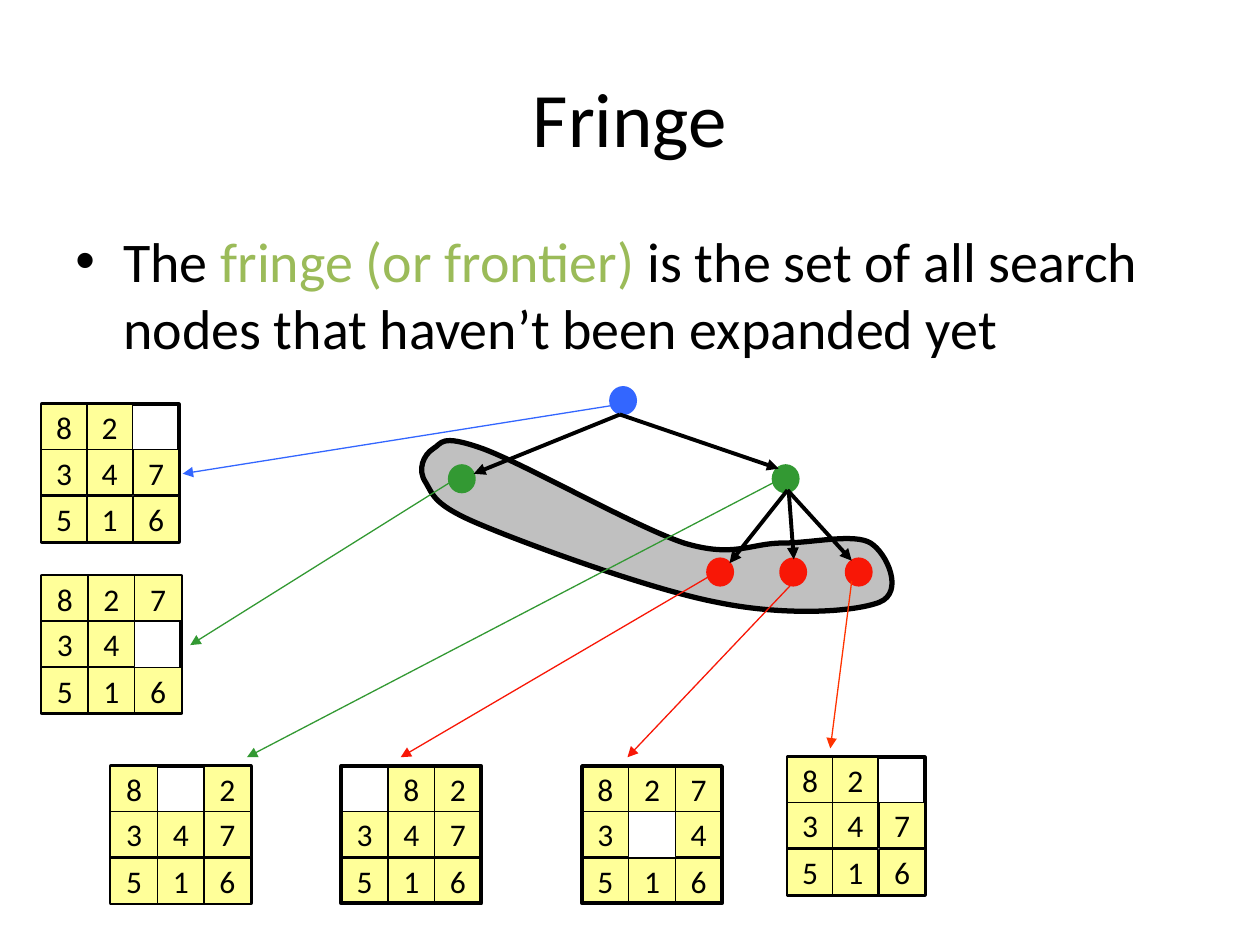
from lxml.etree import SubElement
from pptx import Presentation
from pptx.dml.color import RGBColor
from pptx.enum.shapes import MSO_CONNECTOR, MSO_SHAPE
from pptx.enum.text import MSO_ANCHOR, PP_ALIGN
from pptx.oxml.ns import qn
from pptx.util import Pt

PX = 9144  # EMU per px, 100 px to the inch
FONT = "Calibri"
COLORS = {
    "black": "000000", "accent": "9BBB59", "region": "C0C0C0",
    "blue": "3366FF", "green": "339933", "red": "F81706",
    "orange": "FF3300", "tile": "FFFF99",
}
NODE_SIZE = (19, 20)

# Fringe outline: start point, then control, control, end for each curve
FRINGE_START = (569, 478)
FRINGE_CURVES = [
    (622, 489), (677, 486), (698, 478),
    (718, 470), (704, 439), (691, 431),
    (678, 423), (645, 431), (621, 431),
    (596, 431), (583, 443), (543, 431),
    (504, 418), (416, 368), (383, 356),
    (349, 344), (351, 352), (344, 356),
    (336, 361), (331, 373), (338, 383),
    (344, 393), (344, 401), (383, 417),
    (421, 433), (517, 468), (569, 478),
]
# Search nodes: left, top, colour
NODES = [
    (485, 308, "blue"),
    (357, 370, "green"), (614, 370, "green"),
    (562, 444, "red"), (620, 444, "red"), (672, 444, "red"),
]
# Tree edges: from, to
EDGES = [
    ((492, 329), (376, 376)), ((492, 329), (618, 372)),
    ((625, 389), (579, 447)), ((626, 390), (630, 444)),
    ((625, 389), (676, 445)),
]
# Pointers from a node to its board: from, to, colour
POINTERS = [
    ((485, 322), (145, 376), "blue"),
    ((357, 383), (151, 512), "green"), ((614, 383), (196, 601), "green"),
    ((562, 458), (318, 601), "red"), ((627, 465), (498, 601), "red"),
    ((676, 461), (659, 594), "orange"),
]
# Puzzle boards: left, top, width, rows, frame in front of the tiles
BOARDS = [
    (33, 321, 109, ("82 ", "347", "516"), False),
    (33, 457, 111, ("827", "34 ", "516"), False),
    (88, 608, 111, ("8 2", "347", "516"), False),
    (271, 608, 111, (" 82", "347", "516"), True),
    (462, 608, 111, ("827", "3 4", "516"), True),
    (625, 601, 109, ("82 ", "347", "516"), False),
]
BOARD_HEIGHT = 109


def px(*lengths):
    return [length * PX for length in lengths]


def color(name):
    return RGBColor.from_string(COLORS[name])


def set_font(font, size, name="black"):
    font.name, font.size = FONT, Pt(size)
    font.color.rgb = color(name)


def style(shape, fill, line, width):
    shape.shadow.inherit = False
    if fill:
        shape.fill.solid()
        shape.fill.fore_color.rgb = color(fill)
    else:
        shape.fill.background()
    shape.line.color.rgb = color(line)
    shape.line.width = Pt(width)


def add_box(page, kind, left, top, width, height, fill, line, weight):
    box = page.shapes.add_shape(kind, *px(left, top, width, height))
    style(box, fill, line, weight)
    return box


def add_title(page, text):
    title = page.shapes.title
    title.left, title.top, title.width, title.height = px(50, 30, 900, 125)
    title.text_frame.vertical_anchor = MSO_ANCHOR.MIDDLE
    para = title.text_frame.paragraphs[0]
    para.text = text
    para.alignment = PP_ALIGN.CENTER
    set_font(para.font, 44)


def add_bullet(page, spans):
    box = page.shapes.add_textbox(*px(50, 175, 900, 495))
    box.text_frame.word_wrap = True
    para = box.text_frame.paragraphs[0]
    properties = para._p.get_or_add_pPr()
    properties.set("marL", str(38 * PX))
    properties.set("indent", str(-38 * PX))
    SubElement(properties, qn("a:buFont"), typeface="Arial")
    SubElement(properties, qn("a:buChar"), char="•")
    set_font(para.font, 32)
    for text, name in spans:
        span = para.add_run()
        span.text = text
        set_font(span.font, 32, name)


def add_fringe(page):
    builder = page.shapes.build_freeform(*FRINGE_START, scale=PX)
    builder.add_line_segments(FRINGE_CURVES, close=True)
    region = builder.convert_to_shape()
    # Turn each run of three line points into one Bézier curve
    outline = next(region._element.iter(qn("a:path")))
    points = outline.findall(qn("a:lnTo"))
    for start in range(0, len(FRINGE_CURVES), 3):
        curve, *others = points[start:start + 3]
        curve.tag = qn("a:cubicBezTo")
        for other in others:
            curve.append(other[0])
            outline.remove(other)
    style(region, "region", "black", 3)


def add_arrow(page, begin, end, name, width):
    arrow = page.shapes.add_connector(MSO_CONNECTOR.STRAIGHT, *px(*begin, *end))
    arrow.line.color.rgb = color(name)
    arrow.line.width = Pt(width)
    SubElement(arrow.line._get_or_add_ln(), qn("a:tailEnd"), type="triangle")
    SubElement(arrow._element.spPr, qn("a:effectLst"))


def add_tile(page, left, top, width, height, digit):
    tile = add_box(page, MSO_SHAPE.RECTANGLE, left, top, width, height,
                   "tile", "black", 0.75)
    frame = tile.text_frame
    frame.word_wrap = False
    frame.vertical_anchor = MSO_ANCHOR.MIDDLE
    para = frame.paragraphs[0]
    para.text = digit
    para.alignment = PP_ALIGN.CENTER
    set_font(para.font, 18)


def add_board(page, left, top, width, rows, frame_in_front):
    def add_frame():
        add_box(page, MSO_SHAPE.RECTANGLE, left, top, width, BOARD_HEIGHT,
                None, "black", 2.25)

    if not frame_in_front:
        add_frame()
    for row, digits in enumerate(rows):
        for column, digit in enumerate(digits):
            if digit != " ":
                add_tile(page, left + round(column * width / 3),
                         top + round(row * BOARD_HEIGHT / 3),
                         width // 3, BOARD_HEIGHT // 3, digit)
    if frame_in_front:
        add_frame()


def main():
    deck = Presentation()
    deck.slide_width, deck.slide_height = px(1000, 750)
    page = deck.slides.add_slide(deck.slide_layouts[5])

    # Title and definition
    add_title(page, "Fringe")
    add_bullet(page, [
        ("The ", "black"),
        ("fringe (or frontier)", "accent"),
        (" is the set of all search nodes that haven’t been expanded yet", "black"),
    ])

    # Search tree over the fringe region
    add_fringe(page)
    for left, top, name in NODES:
        add_box(page, MSO_SHAPE.OVAL, left, top, *NODE_SIZE, name, name, 2.25)
    for begin, end in EDGES:
        add_arrow(page, begin, end, "black", 2.25)

    # Puzzle state of each node
    for begin, end, name in POINTERS:
        add_arrow(page, begin, end, name, 0.75)
    for board in BOARDS:
        add_board(page, *board)

    deck.save("out.pptx")


if __name__ == "__main__":
    main()
